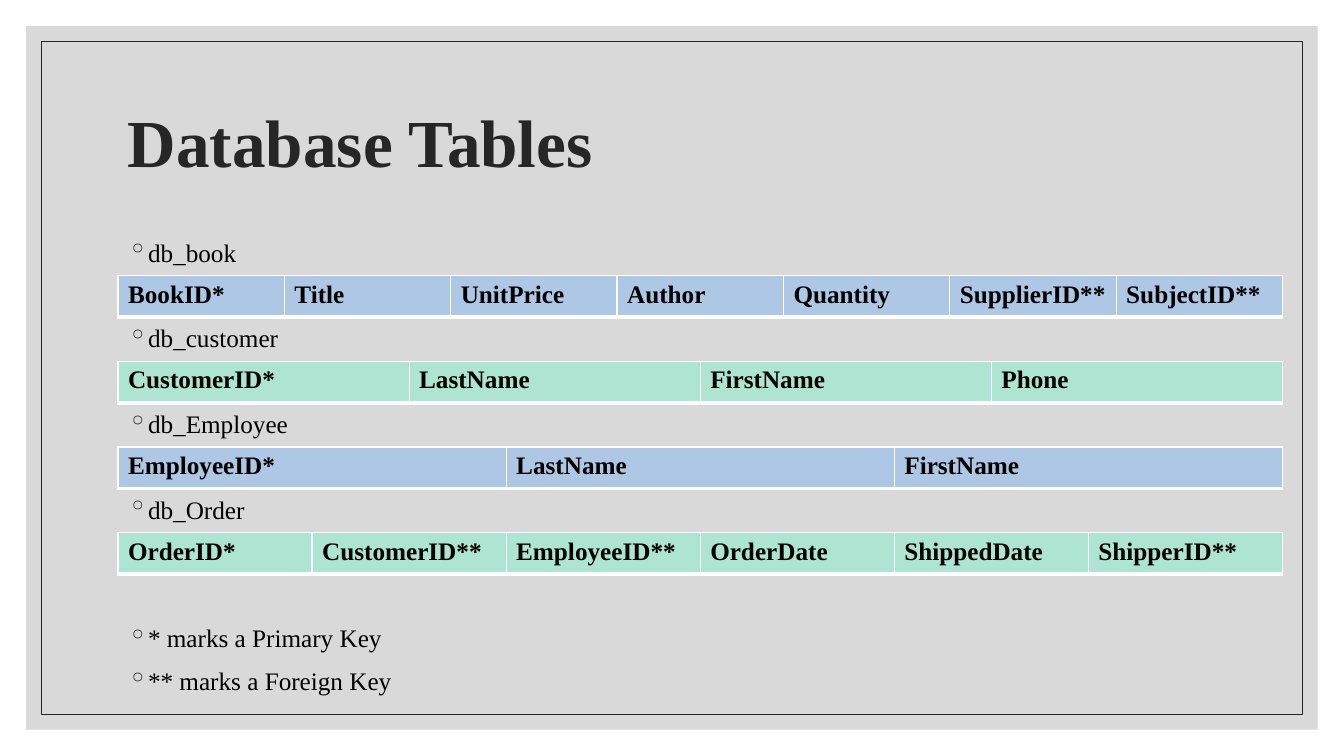
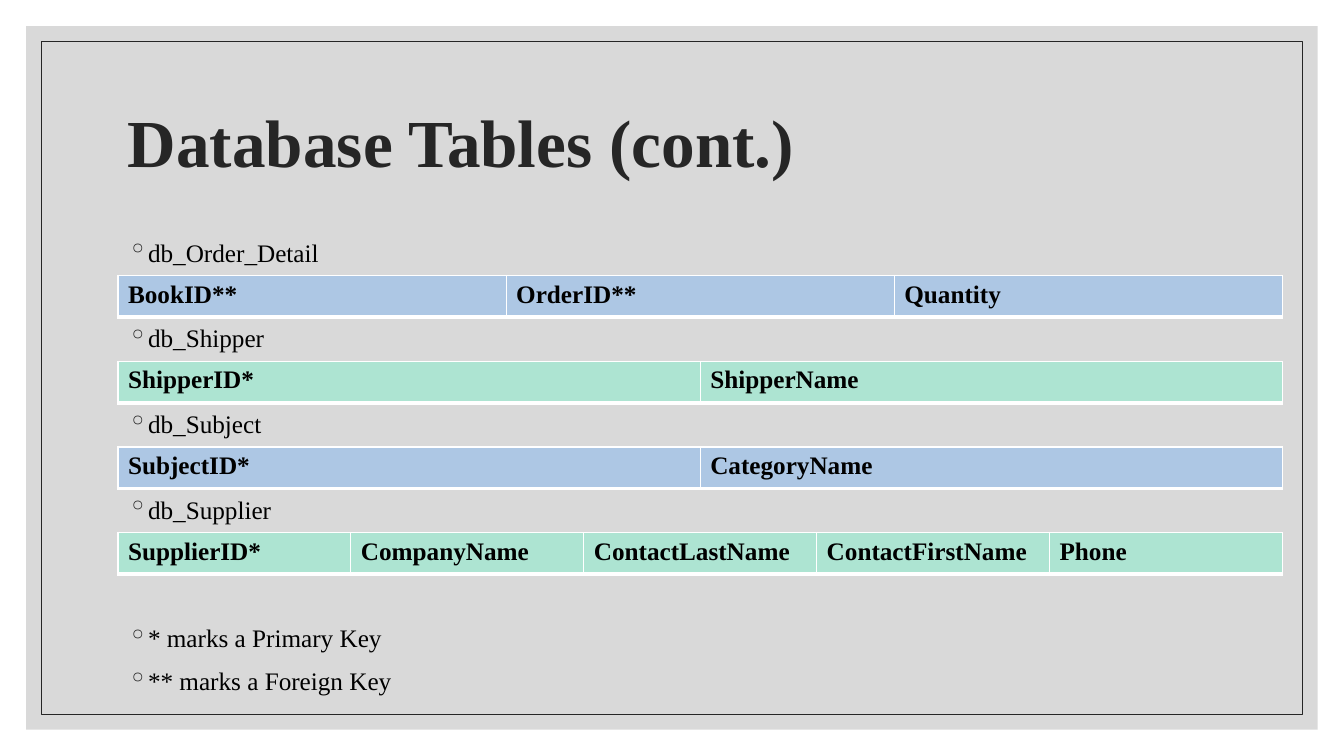
from lxml import etree
from pptx import Presentation
from pptx import util as u
from pptx.dml.color import RGBColor
from pptx.enum import shapes, text
from pptx.oxml.ns import qn

COLORS = {
    "panel": "D9D9D9",
    "ink": "262626",
    "body": "000000",
    "rule": "FFFFFF",
    "blue": "ADC7E4",
    "green": "ADE4D2",
}
FONT = "Times New Roman"
WIDTH, HEIGHT = u.Inches(13.33), u.Inches(7.5)
LEFT, TEXT_WIDTH, TABLE_WIDTH = u.Inches(1.17), u.Inches(11), u.Inches(11.55)
GRID_TOP, GRID_ROW = u.Inches(2.31), u.Inches(0.425)
FIELD_HEIGHT = u.Inches(0.41)
LINE = u.Pt(21.6)
EDGES = {"lnL": 1, "lnR": 1, "lnT": 1, "lnB": 3}
KEY_NOTES = ["* marks a Primary Key", "** marks a Foreign Key"]

DECK = {
    "Database Tables": {
        "db_book": ["BookID*", "Title", "UnitPrice", "Author", "Quantity",
                    "SupplierID**", "SubjectID**"],
        "db_customer": ["CustomerID*", "LastName", "FirstName", "Phone"],
        "db_Employee": ["EmployeeID*", "LastName", "FirstName"],
        "db_Order": ["OrderID*", "CustomerID**", "EmployeeID**", "OrderDate",
                     "ShippedDate", "ShipperID**"],
    },
    "Database Tables (cont.)": {
        "db_Order_Detail": ["BookID**", "OrderID**", "Quantity"],
        "db_Shipper": ["ShipperID*", "ShipperName"],
        "db_Subject": ["SubjectID*", "CategoryName"],
        "db_Supplier": ["SupplierID*", "CompanyName", "ContactLastName",
                        "ContactFirstName", "Phone"],
    },
}


def rgb(name):
    return RGBColor.from_string(COLORS[name])


def style(paragraph, size, color, bold=False):
    for run in paragraph.runs:
        run.font.name = FONT
        run.font.size = u.Pt(size)
        run.font.bold = bold
        run.font.color.rgb = rgb(color)


prs = Presentation()
prs.slide_width, prs.slide_height = WIDTH, HEIGHT

for heading, tables in DECK.items():
    slide = prs.slides.add_slide(prs.slide_layouts[6])

    for margin in (u.Inches(0.26), u.Inches(0.41)):
        frame = slide.shapes.add_shape(
            shapes.MSO_SHAPE.RECTANGLE, margin, margin,
            WIDTH - 2 * margin, HEIGHT - 2 * margin)
        frame.shadow.inherit = False
        if margin == u.Inches(0.26):
            frame.fill.solid()
            frame.fill.fore_color.rgb = rgb("panel")
            frame.line.fill.background()
        else:
            frame.fill.background()
            frame.line.color.rgb = rgb("ink")
            frame.line.width = u.Pt(0.5)

    title = slide.shapes.add_textbox(
        LEFT, u.Inches(0.7), TEXT_WIDTH, u.Inches(1.5)).text_frame
    title.word_wrap = True
    title.vertical_anchor = text.MSO_ANCHOR.MIDDLE
    title.text = heading
    title.paragraphs[0].line_spacing = 0.9
    style(title.paragraphs[0], 48, "ink", bold=True)

    labels = slide.shapes.add_textbox(
        LEFT, u.Inches(2.3), TEXT_WIDTH, 11 * GRID_ROW).text_frame
    labels.word_wrap = True
    labels.text = "\n".join([*tables, *KEY_NOTES])
    rows_down = [1] + [2] * (len(tables) - 1) + [3, 1]
    for label, rows in zip(labels.paragraphs, rows_down):
        label.line_spacing = LINE
        label.space_before = u.Emu(rows * GRID_ROW - LINE)
        style(label, 18, "body")
        props = label._p.get_or_add_pPr()
        props.set("marL", str(u.Inches(0.2)))
        props.set("indent", str(-u.Inches(0.2)))
        bullet_color = etree.SubElement(props, qn("a:buClr"))
        etree.SubElement(bullet_color, qn("a:srgbClr"), val=COLORS["ink"])
        etree.SubElement(props, qn("a:buChar"), char="◦")

    for index, fields in enumerate(tables.values()):
        table = slide.shapes.add_table(
            1, len(fields), LEFT, GRID_TOP + (2 * index + 1) * GRID_ROW,
            TABLE_WIDTH, FIELD_HEIGHT).table
        table.horz_banding = False
        for column, field in enumerate(fields):
            cell = table.cell(0, column)
            cell.text = field
            style(cell.text_frame.paragraphs[0], 18, "body", bold=True)
            cell.fill.solid()
            cell.fill.fore_color.rgb = rgb(("blue", "green")[index % 2])
            cell_props = cell._tc.get_or_add_tcPr()
            for place, (edge, points) in enumerate(EDGES.items()):
                border = etree.Element(qn("a:" + edge), w=str(u.Pt(points)))
                paint = etree.SubElement(border, qn("a:solidFill"))
                etree.SubElement(paint, qn("a:srgbClr"), val=COLORS["rule"])
                cell_props.insert(place, border)

prs.save("out.pptx")
